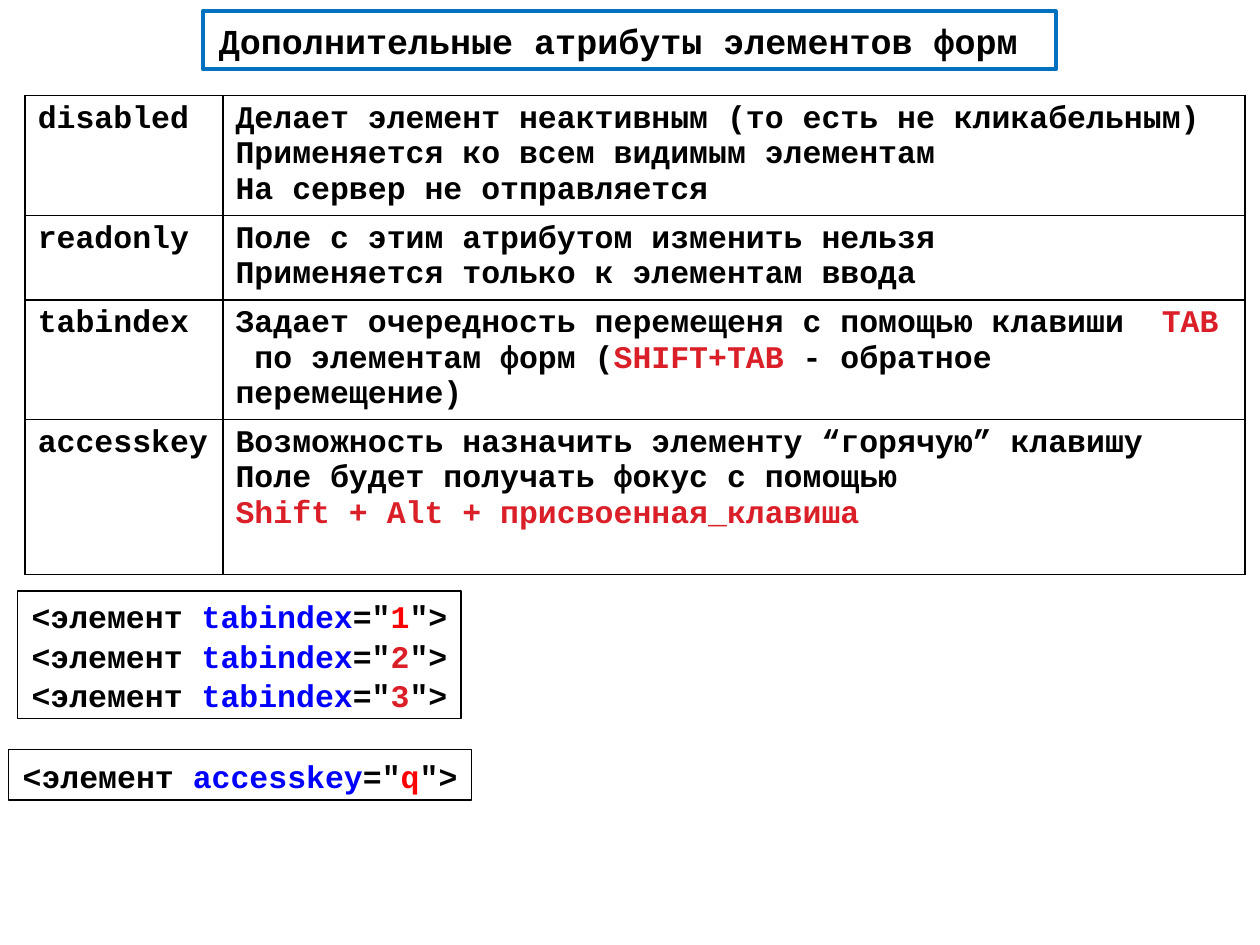
from dataclasses import dataclass

from lxml.etree import SubElement
from pptx import Presentation
from pptx.dml.color import RGBColor
from pptx.enum.shapes import MSO_SHAPE
from pptx.enum.text import MSO_ANCHOR, MSO_AUTO_SIZE, PP_ALIGN
from pptx.oxml.ns import qn
from pptx.util import Inches, Pt


@dataclass(frozen=True)
class Theme:
    font: str = "Courier New"
    title_size: int = 20
    body_size: int = 18
    ink: str = "000000"
    frame: str = "0070C0"
    key: str = "DA1F28"
    attribute: str = "0000FF"
    value: str = "FF0000"


THEME = Theme()

# Each cell is a list of paragraphs, each paragraph a list of (text, colour)
ATTRIBUTES = [
    ("disabled", 0.95, [
        [("Делает элемент неактивным (то есть не кликабельным)", THEME.ink)],
        [("Применяется ко всем видимым элементам", THEME.ink)],
        [("На сервер не отправляется", THEME.ink)],
    ]),
    ("readonly", 0.67, [
        [("Поле с этим атрибутом изменить нельзя", THEME.ink)],
        [("Применяется только к элементам ввода", THEME.ink)],
    ]),
    ("tabindex", 0.95, [
        [("Задает очередность перемещеня с помощью клавиши  ", THEME.ink),
         ("ТАВ", THEME.key),
         ("  по элементам форм (", THEME.ink),
         ("SHIFT+ТАВ", THEME.key),
         (" - обратное перемещение)", THEME.ink)],
    ]),
    ("accesskey", 1.23, [
        [("Возможность назначить элементу “горячую” клавишу", THEME.ink)],
        [("Поле будет получать фокус с помощью", THEME.ink)],
        [("Shift + Alt + присвоенная_клавиша", THEME.key)],
    ]),
]


def write(frame, paragraphs, size=THEME.body_size, **paragraph_format):
    for index, runs in enumerate(paragraphs):
        paragraph = frame.add_paragraph() if index else frame.paragraphs[0]
        for name, setting in paragraph_format.items():
            setattr(paragraph, name, setting)
        for text, colour in runs:
            run = paragraph.add_run()
            run.text = text
            font_format = {"name": THEME.font, "size": Pt(size), "bold": True}
            for name, setting in font_format.items():
                setattr(run.font, name, setting)
            run.font.color.rgb = RGBColor.from_string(colour)


def outline(shape, colour, width):
    shape.line.color.rgb = RGBColor.from_string(colour)
    shape.line.width = Pt(width)


def add_title(slide, text):
    title = slide.shapes.add_shape(
        MSO_SHAPE.RECTANGLE, Inches(1.61), Inches(0.09), Inches(6.77), Inches(0.46))
    title.shadow.inherit = False
    title.fill.background()
    outline(title, THEME.frame, 2.25)
    write(title.text_frame, [[(text, THEME.ink)]], THEME.title_size,
          alignment=PP_ALIGN.CENTER)


def add_borders(cell):
    properties = cell._tc.get_or_add_tcPr()
    for position, side in enumerate(("a:lnL", "a:lnR", "a:lnT", "a:lnB")):
        border = SubElement(properties, qn(side), w=str(Pt(1)))
        fill = SubElement(border, qn("a:solidFill"))
        SubElement(fill, qn("a:srgbClr"), val=THEME.ink)
        properties.insert(position, border)


def add_attribute_table(slide):
    widths = (1.57, 8.11)
    heights = [height for _, height, _ in ATTRIBUTES]
    table = slide.shapes.add_table(
        len(heights), len(widths), Inches(0.2), Inches(0.76),
        Inches(sum(widths)), Inches(sum(heights))).table
    table.first_row = table.horz_banding = False
    for column, width in zip(table.columns, widths):
        column.width = Inches(width)
    for row, (attribute, height, description) in zip(table.rows, ATTRIBUTES):
        row.height = Inches(height)
        contents = ([[(attribute, THEME.ink)]], description)
        for cell, paragraphs in zip(row.cells, contents):
            cell.fill.background()
            add_borders(cell)
            write(cell.text_frame, paragraphs)


def tag_line(attribute, value, value_colour):
    return [("<элемент ", THEME.ink), (attribute, THEME.attribute),
            ('="', THEME.ink), (value, value_colour), ('">', THEME.ink)]


def add_code_box(slide, left, top, width, height, lines):
    box = slide.shapes.add_textbox(
        Inches(left), Inches(top), Inches(width), Inches(height))
    outline(box, THEME.ink, 0.75)
    frame_format = {"word_wrap": False,
                    "auto_size": MSO_AUTO_SIZE.SHAPE_TO_FIT_TEXT,
                    "vertical_anchor": MSO_ANCHOR.MIDDLE}
    for name, setting in frame_format.items():
        setattr(box.text_frame, name, setting)
    write(box.text_frame, lines, alignment=PP_ALIGN.CENTER, line_spacing=1.05)


def main():
    presentation = Presentation()
    presentation.slide_width = Inches(10)
    presentation.slide_height = Inches(7.5)
    slide = presentation.slides.add_slide(presentation.slide_layouts[6])

    # Heading and attribute reference
    add_title(slide, "Дополнительные атрибуты элементов форм ")
    add_attribute_table(slide)

    # Markup examples
    tab_order = (("1", THEME.value), ("2", THEME.key), ("3", THEME.key))
    add_code_box(slide, 0.14, 4.69, 3.52, 1.01,
                 [tag_line("tabindex", *step) for step in tab_order])
    add_code_box(slide, 0.07, 5.95, 3.67, 0.4,
                 [tag_line("accesskey", "q", THEME.value)])

    presentation.save("out.pptx")


if __name__ == "__main__":
    main()
